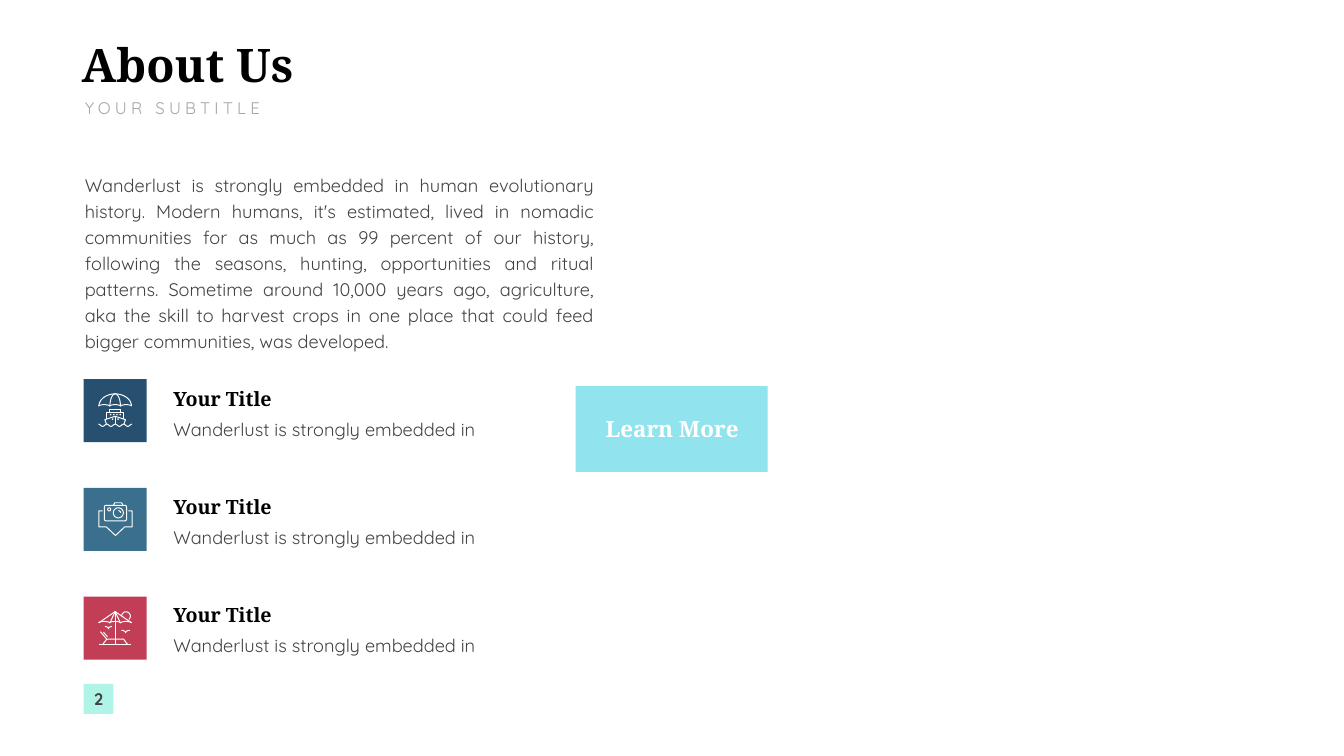
from math import cos, pi, radians, sin

from pptx import Presentation
from pptx.dml.color import RGBColor
from pptx.enum.shapes import MSO_SHAPE
from pptx.enum.text import MSO_ANCHOR, MSO_AUTO_SIZE, PP_ALIGN
from pptx.util import Pt

RECTANGLE = MSO_SHAPE.RECTANGLE
TOP, MIDDLE = MSO_ANCHOR.TOP, MSO_ANCHOR.MIDDLE
LEFT, CENTER, JUSTIFY = PP_ALIGN.LEFT, PP_ALIGN.CENTER, PP_ALIGN.JUSTIFY
FIT_SHAPE = MSO_AUTO_SIZE.SHAPE_TO_FIT_TEXT

SERIF, SANS = "Noto Serif", "Quicksand"
BLACK, WHITE, DARK, GRAY = "000000", "FFFFFF", "424242", "A6A6A6"

INTRO = (
    "Wanderlust is strongly embedded in human evolutionary history. "
    "Modern humans, it's estimated, lived in nomadic communities for as much "
    "as 99 percent of our history, following the seasons, hunting, "
    "opportunities and ritual patterns. Sometime around 10,000 years "
    "ago, agriculture, aka the skill to harvest crops in one place that "
    "could feed bigger communities, was developed."
)


def color(hex_string):
    return RGBColor.from_string(hex_string)


def arc(x, y, radius_x, radius_y, start=180, end=360, steps=24):
    """Points along an ellipse, clockwise from start to end in degrees."""
    angles = [radians(start + (end - start) * i / steps) for i in range(steps + 1)]
    return [(x + radius_x * cos(a), y + radius_y * sin(a)) for a in angles]


def circle(x, y, radius):
    return arc(x, y, radius, radius, 0, 360)


def scallops(y):
    """Lower edge of an umbrella."""
    return [point for x in (8.3, 24, 39.7) for point in arc(x, y, 7.8, 2.2)]


def bird(x, y, wing):
    return arc(x - wing, y, wing, 3.5, 270, 360) + arc(x + wing, y, wing, 3.5, 180, 270)


def ship_icon():
    waves = [(x, 45.5 - 1.6 * cos(2 * pi * x / 12)) for x in range(49)]
    windows = [circle(x, 30.2, 0.4) for x in (17.4, 22, 26.6, 31.2)]
    portholes = [circle(x, 36.7, 0.4) for x in (20.2, 28.2)]
    return [
        arc(24, 18.3, 23.3, 17.6),
        scallops(18.3),
        arc(24, 18, 7.5, 17.3),
        [(16.5, 27), (16.5, 22.3), (31.5, 22.3), (31.5, 27)],
        [(12.2, 36.5), (12.2, 27), (35.8, 27), (35.8, 36.5)],
        [(11.5, 44), (9.3, 37.5), (24, 32.7), (38.7, 37.5), (36.5, 44)],
        [(24, 32.7), (24, 44)],
        waves, *windows, *portholes,
    ]


def camera_icon():
    corners = [(11.1, 6.8, 180), (37.8, 6.8, 270), (37.8, 24.1, 0), (11.1, 24.1, 90)]
    body = [point for x, y, start in corners
            for point in arc(x, y, 2.5, 2.5, start, start + 90)]
    return [
        [(6, 12.2), (0.7, 12.2), (0.7, 35.3), (11.5, 35.3), (24.5, 47.5),
         (37.5, 35.3), (48.2, 35.3), (48.2, 12.2), (43, 12.2)],
        body + body[:1],
        [(21.6, 4.3), (23.5, 0.7), (33.3, 0.7), (35.3, 4.3)],
        circle(28.5, 15.1, 7.2),
        arc(28.5, 15.1, 3.2, 3.2, 270, 360),
        circle(15.5, 10.2, 2.2),
    ]


def beach_icon():
    return [
        [(0.7, 16.7), (24, 0.7), (47.3, 16.7)],
        scallops(17),
        [(16.5, 17), (24, 0.7), (31.5, 17)],
        [(24, 0.7), (24, 48)],
        [(0.7, 48), (47.3, 48)],
        [(3, 29.5), (12, 40), (36, 40), (42, 48)],
        [(12, 40), (6, 48)],
        [(7.2, 30), (13, 36.5)],
        bird(39, 31, 6),
        bird(14.5, 25.5, 5),
        arc(39.5, 7.2, 6.2, 6.2, 180, 410),
    ]


class SlideBuilder:
    def __init__(self, slide):
        self.slide = slide

    def fill_text(self, shape, text, font, size, font_color, bold=False, align=LEFT,
                  anchor=TOP, wrap=False, line_spacing=None, letter_spacing=None):
        frame = shape.text_frame
        frame.word_wrap = wrap
        frame.auto_size = FIT_SHAPE
        frame.vertical_anchor = anchor
        paragraph = frame.paragraphs[0]
        run = paragraph.add_run()
        run.text = text
        paragraph.alignment = align
        if line_spacing:
            paragraph.line_spacing = line_spacing
        if letter_spacing:
            run._r.get_or_add_rPr().set("spc", str(letter_spacing * 100))
        paragraph.font.name = font
        paragraph.font.size = Pt(size)
        paragraph.font.bold = bold
        paragraph.font.color.rgb = color(font_color)

    def text(self, left, top, width, height, text, *style, **options):
        box = self.slide.shapes.add_textbox(Pt(left), Pt(top), Pt(width), Pt(height))
        self.fill_text(box, text, *style, **options)

    def body(self, left, top, width, height, text):
        self.text(left, top, width, height, text, SANS, 26, DARK,
                  align=JUSTIFY, wrap=True, line_spacing=Pt(37))

    def rectangle(self, left, top, width, height, fill):
        shape = self.slide.shapes.add_shape(
            RECTANGLE, Pt(left), Pt(top), Pt(width), Pt(height))
        shape.shadow.inherit = False
        shape.fill.solid()
        shape.fill.fore_color.rgb = color(fill)
        shape.line.fill.background()
        return shape

    def icon(self, left, top, strokes):
        """Draw all strokes, given in points from the corner, as one outline."""
        outline = None
        for stroke in strokes:
            points = [(Pt(x), Pt(y)) for x, y in stroke]
            if outline is None:
                outline = self.slide.shapes.build_freeform(*points[0])
            else:
                outline.move_to(*points[0])
            outline.add_line_segments(points[1:], close=False)
        shape = outline.convert_to_shape(Pt(left), Pt(top))
        shape.shadow.inherit = False
        shape.fill.background()
        shape.line.color.rgb = color(WHITE)
        shape.line.width = Pt(1.4)


def main():
    presentation = Presentation()
    presentation.slide_width = Pt(1919.5)
    presentation.slide_height = Pt(1080)
    builder = SlideBuilder(presentation.slides.add_slide(presentation.slide_layouts[6]))

    page_number = builder.rectangle(119.5, 977, 42.5, 43, "B0F3E7")
    builder.fill_text(page_number, "2", SANS, 24, DARK,
                      bold=True, align=CENTER, anchor=MIDDLE)

    builder.text(109.5, 48, 320, 87, "About Us", SERIF, 66, BLACK, bold=True)
    builder.text(114, 135.5, 278, 36, "YOUR SUBTITLE", SANS, 24, GRAY, letter_spacing=6)
    builder.body(114, 240, 742, 230, INTRO)

    builder.rectangle(822, 551.5, 274.5, 122.5, "91E3EE")
    builder.text(857, 589.5, 206, 46, "Learn More", SERIF, 32, WHITE,
                 bold=True, align=CENTER, anchor=MIDDLE)

    features = [("274F6F", ship_icon()), ("3A708D", camera_icon()), ("C13E56", beach_icon())]
    for row, (fill, strokes) in enumerate(features):
        tile_top = 541.5 + 155.5 * row
        title_top = 543 + 154.5 * row
        builder.rectangle(119.5, tile_top, 90, 90, fill)
        builder.icon(140.5, tile_top + 20.5, strokes)
        builder.text(240.5, title_top, 158.5, 45.5, "Your Title", SERIF, 28, BLACK,
                     bold=True, anchor=MIDDLE, line_spacing=1.2)
        builder.body(240.5, title_top + 45, 492, 43, "Wanderlust is strongly embedded in")

    presentation.save("out.pptx")


if __name__ == "__main__":
    main()
